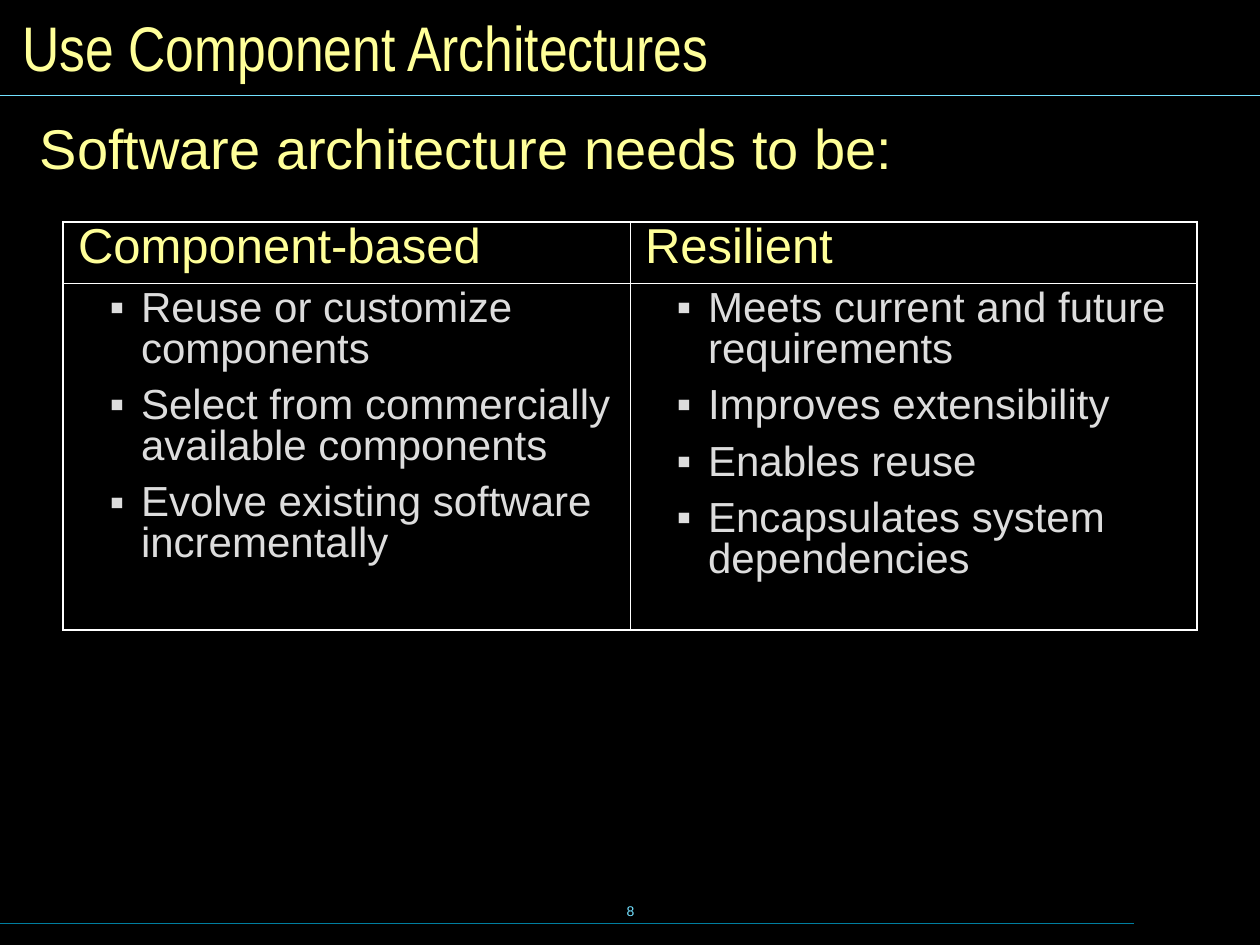
from lxml.etree import SubElement
from pptx import Presentation
from pptx.dml.color import RGBColor
from pptx.enum.shapes import MSO_CONNECTOR
from pptx.enum.text import MSO_ANCHOR, MSO_AUTO_SIZE, PP_ALIGN
from pptx.oxml.ns import qn
from pptx.util import Inches, Pt

THEME = {
    "black": "000000", "white": "FFFFFF", "yellow": "FFFF99",
    "gray": "DDDDDD", "cyan": "73E1FF", "teal": "007E9F",
    "title": 36, "lead": 32, "head": 28, "body": 24, "number": 8,
    "outer": 1.08, "inner": 0.45,
}


def write(p, text, size, color, font="Arial"):
    r = p.add_run()
    r.text = text
    r.font.name = font
    r.font.size = Pt(THEME[size])
    r.font.color.rgb = RGBColor.from_string(THEME[color])


def add_color(parent, tag, color):
    SubElement(SubElement(parent, qn(tag)), qn("a:srgbClr"), val=THEME[color])


prs = Presentation()
prs.slide_width, prs.slide_height = Inches(10), Inches(7.5)
s = prs.slides.add_slide(prs.slide_layouts[6])
s.background.fill.solid()
s.background.fill.fore_color.rgb = RGBColor.from_string(THEME["black"])

for y, right, color in [(0.76, 10, "cyan"), (7.33, 9, "teal")]:
    rule = s.shapes.add_connector(
        MSO_CONNECTOR.STRAIGHT, Inches(0), Inches(y), Inches(right), Inches(y))
    rule.line.color.rgb = RGBColor.from_string(THEME[color])
    rule.line.width = Pt(0.75)
    SubElement(rule._element.spPr, qn("a:effectLst"))

texts = [
    ("8", (3.42, 6.98, 3.17, 0.5), ("number", "cyan"), PP_ALIGN.CENTER,
     {"vertical_anchor": MSO_ANCHOR.MIDDLE, "word_wrap": False}),
    ("Use Component Architectures", (0.08, 0.08, 9.84, 0.58),
     ("title", "yellow", "Arial Narrow"), PP_ALIGN.LEFT,
     {"vertical_anchor": MSO_ANCHOR.MIDDLE, "word_wrap": True}),
    ("Software architecture needs to be:", (0.18, 0.84, 7.05, 0.65),
     ("lead", "yellow"), PP_ALIGN.CENTER,
     {"word_wrap": False, "auto_size": MSO_AUTO_SIZE.SHAPE_TO_FIT_TEXT,
      "margin_left": Inches(0.12), "margin_right": Inches(0.12),
      "margin_top": Inches(0.06), "margin_bottom": Inches(0.06)}),
]
for text, box, style, align, frame in texts:
    sp = s.shapes.add_textbox(*map(Inches, box))
    tf = sp.text_frame
    for name, value in frame.items():
        setattr(tf, name, value)
    p = tf.paragraphs[0]
    p.alignment = align
    write(p, text, *style)

columns = [
    ("Component-based", [
        "Reuse or customize components",
        "Select from commercially available components",
        "Evolve existing software incrementally"]),
    ("Resilient", [
        "Meets current and future requirements",
        "Improves extensibility",
        "Enables reuse",
        "Encapsulates system dependencies"]),
]
table = s.shapes.add_table(
    2, 2, Inches(0.5), Inches(1.76), Inches(9), Inches(3.24)).table
table.first_row = table.horz_banding = False
table.rows[0].height, table.rows[1].height = Inches(0.49), Inches(2.75)
cell_format = {
    "margin_left": Inches(0.12), "margin_right": Inches(0.12),
    "margin_top": Inches(0.05), "margin_bottom": Inches(0.05),
}

for col, (heading, bullets) in enumerate(columns):
    table.columns[col].width = Inches(4.5)
    for row in range(2):
        cell = table.cell(row, col)
        for name, value in cell_format.items():
            setattr(cell, name, value)
        tcPr = cell._tc.get_or_add_tcPr()
        edges = {"L": col == 0, "R": col == 1, "T": row == 0, "B": row == 1}
        for side, is_outer in edges.items():
            width = Pt(THEME["outer" if is_outer else "inner"])
            ln = SubElement(tcPr, qn(f"a:ln{side}"), w=str(width))
            add_color(ln, "a:solidFill", "white")
        cell.fill.background()

    p = table.cell(0, col).text_frame.paragraphs[0]
    p.line_spacing = 0.8
    write(p, heading, "head", "yellow")

    tf = table.cell(1, col).text_frame
    for i, bullet in enumerate(bullets):
        p = tf.add_paragraph() if i else tf.paragraphs[0]
        p.level = 1
        p.line_spacing = 0.87
        p.space_before = Pt(9 if i else 0)
        pPr = p._p.get_or_add_pPr()
        pPr.set("marL", str(Inches(0.5)))
        pPr.set("indent", str(Inches(-0.25)))
        add_color(pPr, "a:buClr", "gray")
        SubElement(pPr, qn("a:buFont"), typeface="Arial")
        SubElement(pPr, qn("a:buChar"), char="▪")
        write(p, bullet, "body", "gray")

prs.save("out.pptx")
